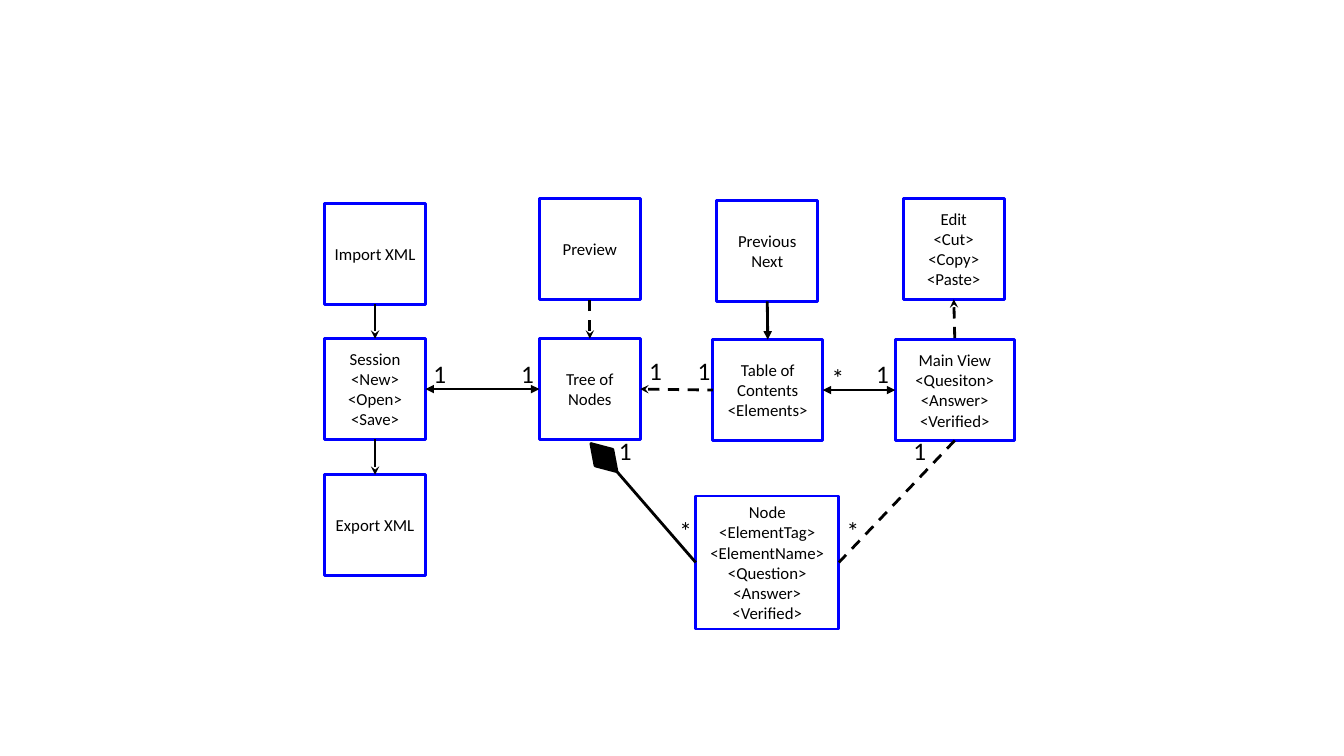
from pptx import Presentation
from pptx import util as u
from pptx.dml.color import RGBColor
from pptx.enum import dml, shapes, text
from pptx.oxml.ns import qn
from lxml import etree

HUES = {"edge": "0000FF", "ink": "000000"}
FONT = "Calibri"
TOP, LEFT, BOTTOM, RIGHT = range(4)

BOXES = {
    "import": (0, 0.05, 1, 1, ["Import XML"]),
    "session": (0, 1.39, 1, 1, ["Session", "<New>", "<Open>", "<Save>"]),
    "export": (0, 2.74, 1, 1, ["Export XML"]),
    "preview": (2.13, 0, 1, 1, ["Preview"]),
    "tree": (2.13, 1.39, 1, 1, ["Tree of Nodes"]),
    "step": (3.89, 0.02, 1, 1, ["Previous", "Next"]),
    "toc": (3.85, 1.4, 1.09, 1, ["Table of Contents", "<Elements>"]),
    "edit": (5.74, 0, 1, 1, ["Edit", "<Cut>", "<Copy>", "<Paste>"]),
    "main": (5.66, 1.4, 1.18, 1,
             ["Main View", "<Quesiton>", "<Answer>", "<Verified>"]),
    "node": (3.68, 2.95, 1.42, 1.32,
             ["Node", "<ElementTag>", "<ElementName>", "<Question>",
              "<Answer>", "<Verified>"]),
}

LINKS = [
    ("import", BOTTOM, "session", TOP, False, None, "stealth"),
    ("session", BOTTOM, "export", TOP, False, None, "stealth"),
    ("tree", RIGHT, "toc", LEFT, True, "stealth", None),
    ("session", RIGHT, "tree", LEFT, False, "triangle", "triangle"),
    ("tree", TOP, "preview", BOTTOM, True, "stealth", None),
    ("edit", BOTTOM, "main", TOP, True, "stealth", None),
    ("toc", RIGHT, "main", LEFT, False, "triangle", "triangle"),
    ("main", BOTTOM, "node", RIGHT, True, None, None),
    ("step", BOTTOM, "toc", TOP, False, None, "triangle"),
]

COUNTS = [
    ("1", 2.82, 2.3), ("1", 3.12, 1.51), ("1", 3.6, 1.51), ("*", 3.42, 3.09),
    ("1", 5.37, 1.54), ("*", 4.93, 1.58), ("1", 0.98, 1.54),
    ("1", 1.85, 1.54), ("1", 5.74, 2.3), ("*", 5.08, 3.09),
]


def hue(name):
    """Return the named colour."""
    return RGBColor.from_string(HUES[name])


def stroke(item, name):
    """Give an item its two-point line."""
    item.line.color.rgb = hue(name)
    item.line.width = u.Pt(2)


def write(frame, rows, size, align):
    """Fill a text frame with one paragraph per row."""
    for i, row in enumerate(rows):
        para = frame.add_paragraph() if i else frame.paragraphs[0]
        para.text = row
        para.alignment = align
        para.font.size = u.Pt(size)
        para.font.name = FONT
        para.font.color.rgb = hue("ink")


def add_box(slide, x, y, w, h, rows):
    """Draw one class box with its rows."""
    box = slide.shapes.add_shape(
        shapes.MSO_SHAPE.RECTANGLE, *map(u.Inches, (x, y, w, h)))
    box.shadow.inherit = False
    box.fill.background()
    stroke(box, "edge")
    box.text_frame.word_wrap = True
    box.text_frame.vertical_anchor = text.MSO_ANCHOR.MIDDLE
    write(box.text_frame, rows, 12, text.PP_ALIGN.CENTER)
    return box


def add_line(slide, x=0, y=0, x2=0, y2=0):
    """Draw a plain line without shadow."""
    line = slide.shapes.add_connector(
        shapes.MSO_CONNECTOR.STRAIGHT, *map(u.Inches, (x, y, x2, y2)))
    stroke(line, "ink")
    etree.SubElement(line._element.spPr, qn("a:effectLst"))
    return line


def add_link(slide, start, site, end, site2, dash, head, tail):
    """Join two boxes at their sites, with arrowheads."""
    line = add_line(slide)
    line.begin_connect(start, site)
    line.end_connect(end, site2)
    if dash:
        line.line.dash_style = dml.MSO_LINE.DASH
    for tag, kind in (("a:headEnd", head), ("a:tailEnd", tail)):
        if kind:
            etree.SubElement(line.line._get_or_add_ln(), qn(tag), type=kind)


def add_whole(slide, x, y):
    """Draw the composition line and its diamond."""
    add_line(slide, x + 3.68, y + 3.61, x + 2.9, y + 2.71)
    gem = slide.shapes.add_shape(
        shapes.MSO_SHAPE.FLOWCHART_DECISION,
        *map(u.Inches, (x + 2.58, y + 2.45, 0.38, 0.24)))
    gem.rotation = 47.1
    gem.shadow.inherit = False
    gem.fill.solid()
    gem.fill.fore_color.rgb = hue("ink")
    stroke(gem, "ink")


def add_count(slide, mark, x, y):
    """Write one multiplicity mark."""
    label = slide.shapes.add_textbox(
        *map(u.Inches, (x, y, 0.34 if mark == "*" else 0.32, 0.4)))
    label.text_frame.word_wrap = True
    write(label.text_frame, [mark], 18, text.PP_ALIGN.LEFT)


def add_model(slide, x, y):
    """Draw the class diagram from its top left corner."""
    made = {name: add_box(slide, x + dx, y + dy, w, h, rows)
            for name, (dx, dy, w, h, rows) in BOXES.items()}
    for start, site, end, site2, *style in LINKS:
        add_link(slide, made[start], site, made[end], site2, *style)
    add_whole(slide, x, y)
    for mark, dx, dy in COUNTS:
        add_count(slide, mark, x + dx, y + dy)


deck = Presentation()
deck.slide_width, deck.slide_height = u.Inches(13.33), u.Inches(7.5)
add_model(deck.slides.add_slide(deck.slide_layouts[6]), 3.22, 1.97)
deck.save("out.pptx")
